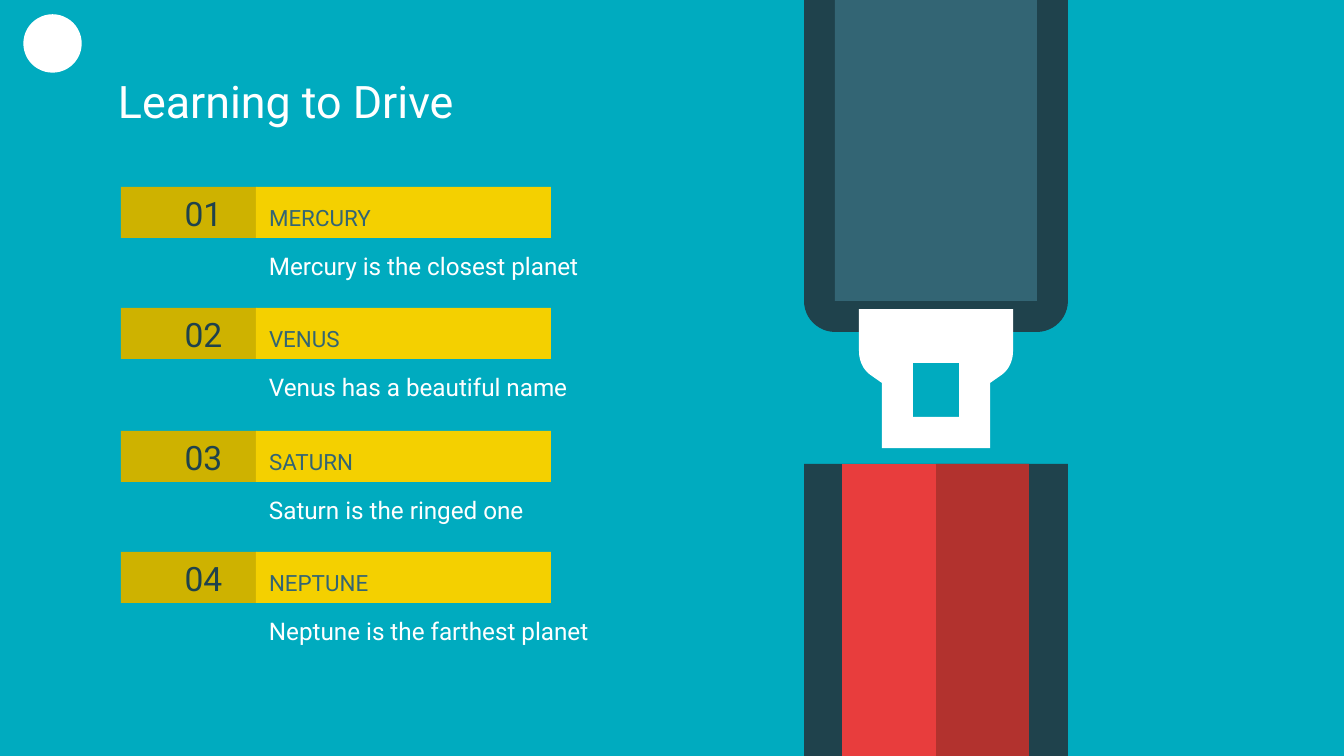
from dataclasses import dataclass

from pptx import Presentation
from pptx.dml.color import RGBColor
from pptx.enum.shapes import MSO_SHAPE
from pptx.enum.text import MSO_ANCHOR, MSO_AUTO_SIZE, PP_ALIGN
from pptx.util import Pt

EMU_PER_PX = 914400 / 134.4


@dataclass(frozen=True)
class Theme:
    font: str = "Roboto"
    background: str = "00ABBF"
    white: str = "FFFFFF"
    yellow: str = "F4D000"
    mustard: str = "CEB200"
    slate: str = "336574"
    dark: str = "1F424C"
    red: str = "E83D3D"
    dark_red: str = "B2322E"
    title_size: int = 24
    number_size: int = 18
    label_size: int = 12
    body_size: int = 13
    inset: int = 13


def px(length):
    return round(length * EMU_PER_PX)


def curve(start, control1, control2, end, steps=12):
    """Points along a cubic curve, both ends included."""
    points = []
    for step in range(steps + 1):
        t = step / steps
        weights = ((1 - t) ** 3, 3 * t * (1 - t) ** 2, 3 * t * t * (1 - t), t ** 3)
        corners = (start, control1, control2, end)
        points.append(tuple(sum(w * c[axis] for w, c in zip(weights, corners))
                            for axis in (0, 1)))
    return points


def mirror(points, axis):
    return [(2 * axis - x, y) for x, y in points]


class SlideBuilder:
    def __init__(self, slide, theme):
        self.slide = slide
        self.theme = theme
        self.shapes = slide.shapes
        slide.background.fill.solid()
        slide.background.fill.fore_color.rgb = RGBColor.from_string(theme.background)

    def start_group(self):
        self.shapes = self.slide.shapes.add_group_shape().shapes

    def end_group(self):
        self.shapes = self.slide.shapes

    def paint(self, shape, color, outlined=False):
        shape.shadow.inherit = False
        shape.fill.solid()
        shape.fill.fore_color.rgb = RGBColor.from_string(color)
        if outlined:
            shape.line.color.rgb = RGBColor.from_string(color)
            shape.line.width = Pt(0.75)
        else:
            shape.line.fill.background()
        return shape

    def block(self, x, y, w, h, color, kind=MSO_SHAPE.RECTANGLE, outlined=False):
        shape = self.shapes.add_shape(kind, px(x), px(y), px(w), px(h))
        return self.paint(shape, color, outlined)

    def outline(self, points, color):
        corners = [(px(x), px(y)) for x, y in points]
        builder = self.shapes.build_freeform(*corners[0])
        builder.add_line_segments(corners[1:], close=True)
        return self.paint(builder.convert_to_shape(), color)

    def set_text(self, shape, text, size, color, anchor=MSO_ANCHOR.TOP,
                 align=PP_ALIGN.LEFT, spacing=1.0, after=0):
        frame = shape.text_frame
        frame.word_wrap = True
        frame.auto_size = MSO_AUTO_SIZE.NONE
        frame.vertical_anchor = anchor
        inset = px(self.theme.inset)
        frame.margin_left = frame.margin_right = inset
        frame.margin_top = frame.margin_bottom = inset
        paragraph = frame.paragraphs[0]
        paragraph.alignment = align
        paragraph.line_spacing = spacing
        paragraph.space_after = Pt(after)
        run = paragraph.add_run()
        run.text = text
        run.font.name = self.theme.font
        run.font.size = Pt(size)
        run.font.color.rgb = RGBColor.from_string(color)

    def title(self, text, x, y, w, h):
        title = self.slide.shapes.title
        title.left, title.top, title.width, title.height = map(px, (x, y, w, h))
        self.set_text(title, text, self.theme.title_size, self.theme.white,
                      MSO_ANCHOR.MIDDLE)

    def text(self, text, x, y, w, h, size, color, **style):
        box = self.shapes.add_textbox(px(x), px(y), px(w), px(h))
        self.set_text(box, text, size, color, **style)

    def planet(self, number, name, fact, top):
        theme = self.theme
        self.block(121, top, 136, 51, theme.mustard)
        label = self.block(256, top, 295, 51, theme.yellow)
        self.set_text(label, name, theme.label_size, theme.slate, spacing=1.15, after=16)
        self.text(fact, 256, top + 51, 418, 71, theme.body_size, theme.white)
        self.text(f"{number:02}", 151, top - 21, 105, 95, theme.number_size, theme.dark,
                  anchor=MSO_ANCHOR.MIDDLE, align=PP_ALIGN.CENTER)

    def seat_belt(self):
        theme, center, bottom = self.theme, 936, 756
        housing_edge = [(center, 332),
                        *curve((1037, 332), (1054, 332), (1068, 318), (1068, 301)),
                        (1068, 261)]
        tongue_edge = [(center, 448), (990, 448), (990, 383),
                       *curve((1000, 376), (1008, 371), (1013, 362), (1013, 351)),
                       (1013, 309)]
        self.start_group()
        self.block(804, 0, 264, 277, theme.dark)
        self.outline([(center, 261), *mirror(housing_edge, center)], theme.dark)
        self.outline([(890, 261), *housing_edge], theme.dark)
        self.block(835, 0, 202, 301, theme.slate)
        self.block(804, 464, 264, bottom - 464, theme.dark)
        self.outline([(center, 464), (913, 610), (center, bottom),
                      (1029, bottom), (1029, 464)], theme.dark_red)
        self.outline([(890, 309), (center, 363), (959, 363), (959, 417),
                      (center, 417), (913, 433), *tongue_edge], theme.white)
        self.outline([(center, 309), (center, 363), (913, 363), (913, 417),
                      (center, 417), *mirror(tongue_edge, center)], theme.white)
        self.outline([(842, 464), (842, bottom), (center, bottom), (center, 464)], theme.red)
        self.end_group()


PLANETS = [
    ("MERCURY", "Mercury is the closest planet", 187),
    ("VENUS", "Venus has a beautiful name", 308),
    ("SATURN", "Saturn is the ringed one", 431),
    ("NEPTUNE", "Neptune is the farthest planet", 552),
]


def main():
    presentation = Presentation()
    presentation.slide_width, presentation.slide_height = px(1344), px(756)
    slide = presentation.slides.add_slide(presentation.slide_layouts[5])
    builder = SlideBuilder(slide, Theme())
    builder.block(24, 15, 57, 57, builder.theme.white, MSO_SHAPE.OVAL, outlined=True)
    builder.title("Learning to Drive", 105, 58, 1134, 85)
    builder.seat_belt()
    for number, (name, fact, top) in enumerate(PLANETS, start=1):
        builder.planet(number, name, fact, top)
    presentation.save("out.pptx")


if __name__ == "__main__":
    main()
